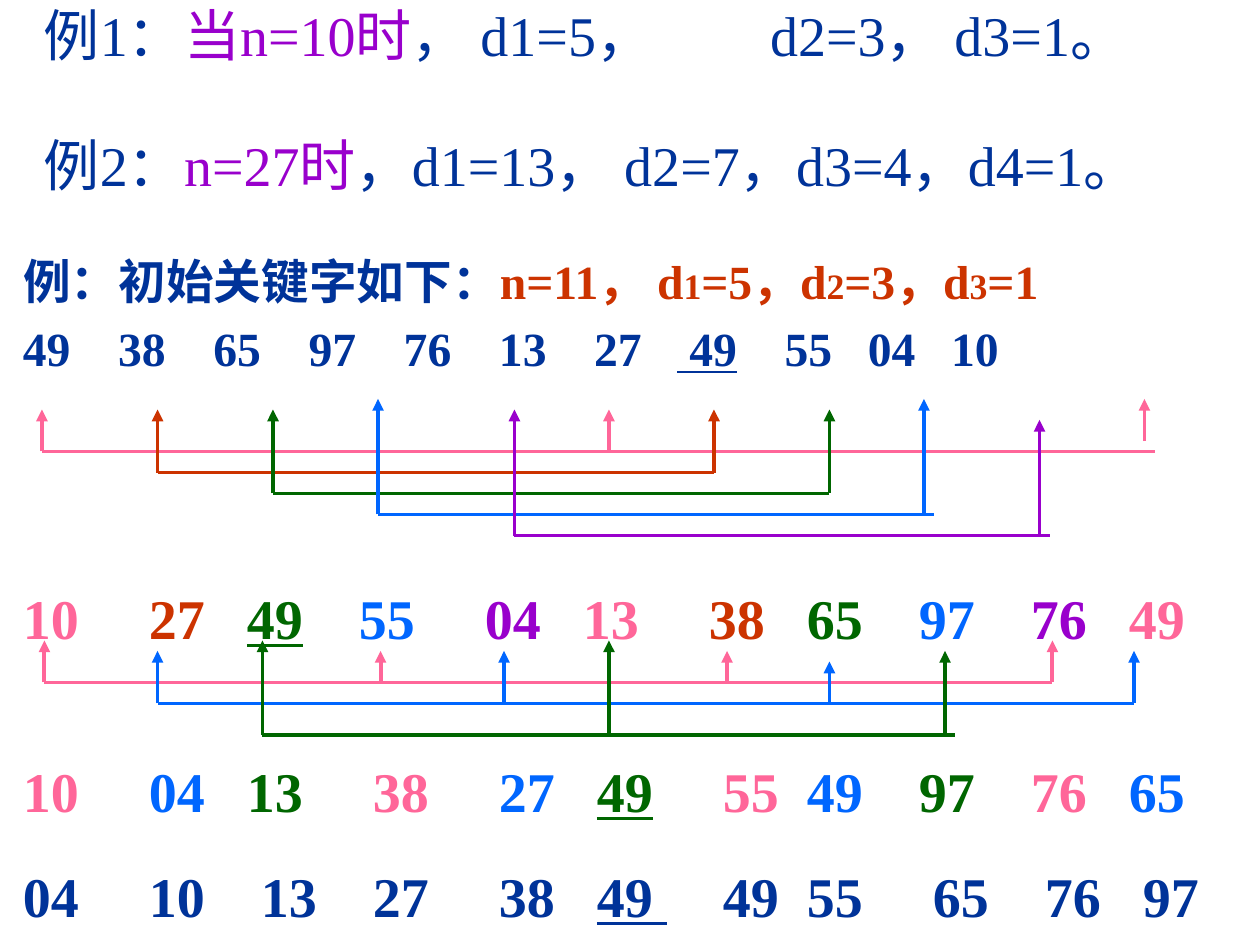
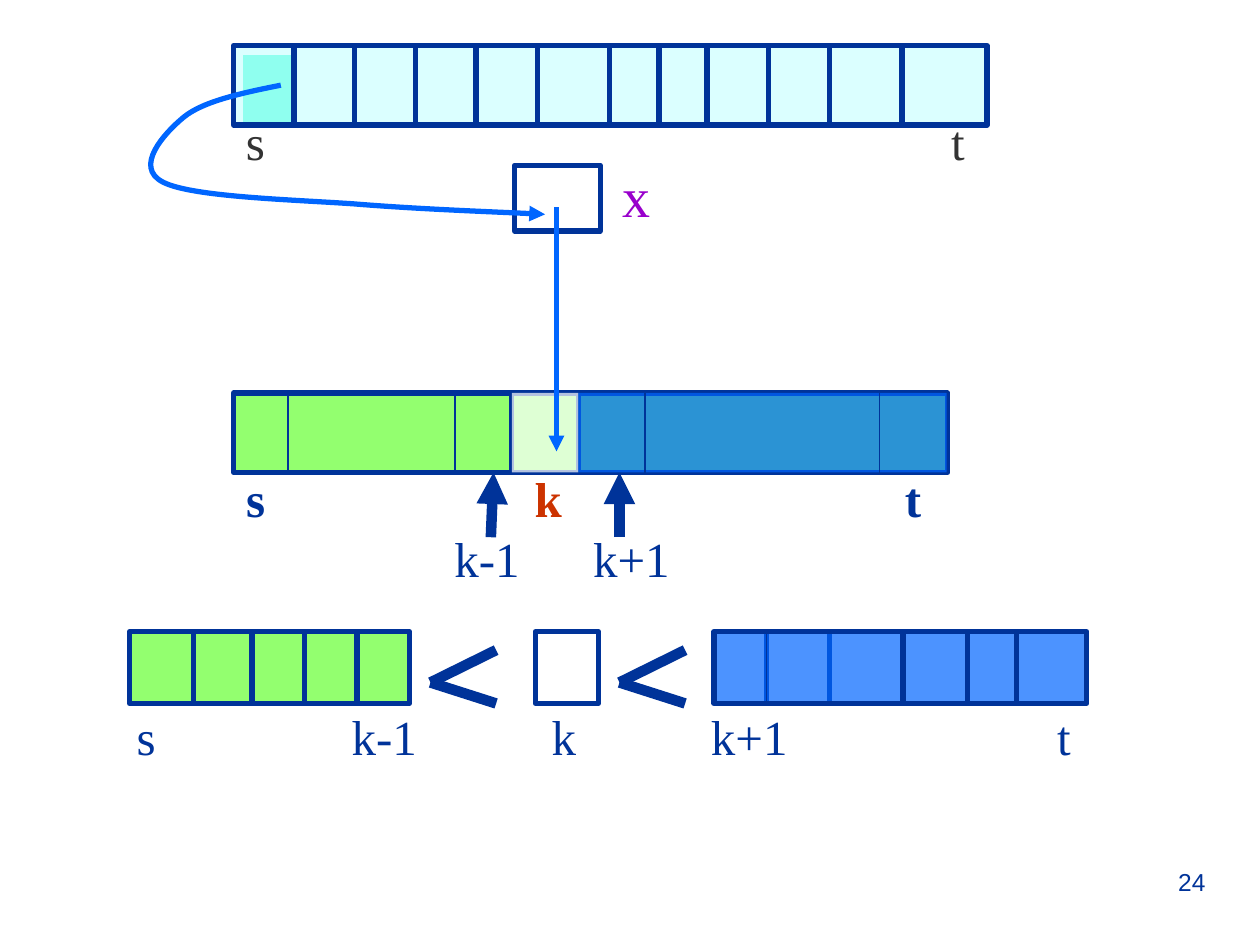
"""Builds two slides on Shell sort increments and on one quicksort partition step."""
from dataclasses import dataclass, field
from itertools import accumulate, cycle

from lxml import etree
from pptx import Presentation
from pptx.dml.color import RGBColor
from pptx.enum.shapes import MSO_CONNECTOR, MSO_SHAPE
from pptx.enum.text import MSO_ANCHOR, MSO_AUTO_SIZE, PP_ALIGN
from pptx.oxml.ns import qn
from pptx.util import Pt

STRAIGHT = MSO_CONNECTOR.STRAIGHT
RECTANGLE = MSO_SHAPE.RECTANGLE
TOP, BOTTOM = MSO_ANCHOR.TOP, MSO_ANCHOR.BOTTOM
NO_FIT = MSO_AUTO_SIZE.NONE
LEFT, RIGHT = PP_ALIGN.LEFT, PP_ALIGN.RIGHT


@dataclass(frozen=True)
class Theme:
    navy: str = "003399"
    blue: str = "0066FF"
    red: str = "CC3300"
    green: str = "006600"
    purple: str = "9900CC"
    pink: str = "FF6699"
    lime: str = "66FF33"
    ice: str = "CCFFFF"
    mint: str = "00FFCC"
    white: str = "FFFFFF"
    grey: str = "333333"
    serif: str = "Times New Roman"
    sans: str = "Arial"
    large: float = 32
    label: float = 28
    body: float = 27.2
    subscript: float = 20.4
    page: float = 14
    thin: float = 1
    comb: float = 2.25
    border: float = 3
    heavy: float = 6


@dataclass
class Run:
    text: str
    colour: str
    underlined: bool = False
    size: float = 0


@dataclass
class Para:
    runs: list
    size: float
    bold: bool = False
    tabs: list = field(default_factory=list)
    spacing: float = 1.0
    before: float = 0
    align: int = LEFT
    font: str = Theme.serif


T = Theme()


def draw_line(slide, start, end, colour, width, arrow=False):
    line = slide.shapes.add_connector(STRAIGHT, *map(Pt, (*start, *end)))
    line.line.color.rgb = RGBColor.from_string(colour)
    line.line.width = Pt(width)
    properties = line._element.spPr
    if arrow:
        etree.SubElement(properties.find(qn("a:ln")), qn("a:tailEnd"), type="triangle")
    etree.SubElement(properties, qn("a:effectLst"))


def draw_box(slide, box, fill, border=0, opacity=70):
    shape = slide.shapes.add_shape(RECTANGLE, *map(Pt, box))
    shape.shadow.inherit = False
    shape.fill.solid()
    shape.fill.fore_color.rgb = RGBColor.from_string(fill)
    colour = shape._element.spPr.find(qn("a:solidFill")).find(qn("a:srgbClr"))
    etree.SubElement(colour, qn("a:alpha"), val=str(opacity * 1000))
    if border:
        shape.line.color.rgb = RGBColor.from_string(T.navy)
        shape.line.width = Pt(border)
    else:
        shape.line.fill.background()


prs = Presentation()
prs.slide_width, prs.slide_height = Pt(720), Pt(540)
shell_sort = prs.slides.add_slide(prs.slide_layouts[1])
partition = prs.slides.add_slide(prs.slide_layouts[6])

title = shell_sort.shapes.title._element
title.getparent().remove(title)
initial_keys = shell_sort.placeholders[1]
initial_keys.left, initial_keys.top = Pt(6), Pt(144)
initial_keys.width, initial_keys.height = Pt(702), Pt(42)

combs = [
    (T.pink, 390, 25.4, 601.4, [(25.4, 366), (217.5, 372), (415.5, 372), (601.4, 366)]),
    (T.blue, 402, 90, 648, [(90, 372), (288, 372), (474, 378), (648, 372)]),
    (T.green, 420, 150, 546, [(150, 366), (348, 366), (540, 372)]),
    (T.pink, 258, 24, 660, [(654, 228, 252), (24, 234), (348, 234)]),
    (T.red, 270, 90, 408, [(90, 234), (408, 234)]),
    (T.green, 282, 156, 474, [(156, 234), (474, 234)]),
    (T.blue, 294, 216, 534, [(216, 228), (528, 228)]),
    (T.purple, 306, 294, 600, [(294, 234), (594, 240)]),
]
for colour, base, first, last, teeth in combs:
    draw_line(shell_sort, (first, base), (last, base), colour, T.comb)
    for x, tip, *foot in teeth:
        draw_line(shell_sort, (x, *(foot or [base])), (x, tip), colour, T.comb, True)

key_rows = [
    ("49 38 65 97 76 13 27 49 55 04 10", [T.navy], T.body, 7, " 49", "4444443433"),
    ("10 27 49 55 04 13 38 65 97 76 49", [T.pink, T.red, T.green, T.blue, T.purple],
     T.large, 2, "49", "5345353443"),
    ("10 04 13 38 27 49 55 49 97 76 65", [T.pink, T.blue, T.green],
     T.large, 5, "49", "5355352443"),
    ("04 10 13 27 38 49 49 55 65 76 97", [T.navy], T.large, 5, "49 ", "5445342543"),
]
key_paragraphs = []
for keys, colours, size, marked, marked_text, gaps in key_rows:
    keys = keys.split()
    keys[marked] = marked_text
    steps = [size * (len(key.strip()) / 2 + key.count(" ") / 4 + int(gap) / 4)
             for key, gap in zip(keys, gaps)]
    runs = []
    for position, (key, colour) in enumerate(zip(keys, cycle(colours))):
        if position:
            runs.append(Run("\t", colour))
        runs.append(Run(key, colour, position == marked))
    key_paragraphs.append(Para(runs, size, True, list(accumulate(steps))))

increments = Para([
    Run("例：初始关键字如下：", T.navy), Run("n=11， d", T.red),
    Run("1", T.red, size=T.subscript), Run("=5，d", T.red),
    Run("2", T.red, size=T.subscript), Run("=3，d", T.red),
    Run("3", T.red, size=T.subscript), Run("=1", T.red),
], T.body, True, spacing=0.9)
example_1 = Para([
    Run("例1：", T.navy), Run("当n=10时", T.purple), Run("， d1=5，", T.navy),
    Run("\t", T.navy), Run("d2=3， d3=1。", T.navy),
], T.large, tabs=[415], spacing=0.7)
example_2 = Para([
    Run("例2：", T.navy), Run("n=27时", T.purple),
    Run("，d1=13， d2=7，d3=4，d4=1。", T.navy),
], T.large, spacing=0.7, before=47.5)

draw_box(partition, (139, 31.5, 28, 39.5), T.mint, opacity=100)
draw_box(partition, (294, 94.5, 49, 37.5), T.white, T.border)

result_top, result_height = 361, 41
result_bottom = result_top + result_height
draw_box(partition, (306, result_top, 36, result_height), T.white, T.border)
for tip in (246, 354):
    for y in (371.5, 402):
        draw_line(partition, (tip + 37.5, y), (tip, 390), T.navy, T.heavy)
for x in (438, 474):
    draw_line(partition, (x, result_top), (x, result_bottom), T.navy, T.border)
for left, width, fill in ((144, 90, T.lime), (74, 70, T.lime), (408, 213, T.blue)):
    draw_box(partition, (left, result_top, width, result_height), fill, T.border)
for x in (110.5, 174, 204, 516, 553, 581):
    draw_line(partition, (x, result_top), (x, result_bottom), T.navy, T.border)
draw_line(partition, (438, result_top), (438, result_bottom), T.navy, T.thin)

for foot, tip in ((280.5, 282), (354, 354)):
    draw_line(partition, (foot, 307), (tip, 270), T.navy, T.heavy, True)
split_top, bar_height = 224.5, 45.5
draw_box(partition, (133.5, split_top, 408, bar_height), T.lime, T.border)
for x in (292.5, 330.5):
    draw_line(partition, (x, split_top), (x, split_top + bar_height), T.navy, T.border)
draw_box(partition, (292.5, split_top, 38, bar_height), T.white)
draw_box(partition, (330.5, split_top, 210.5, bar_height), T.blue)
for x in (164.5, 260, 368.5, 502.5):
    draw_line(partition, (x, split_top), (x, split_top + bar_height), T.navy, T.thin)
draw_line(partition, (318, 118.5), (318, 258), T.blue, T.border, True)

array_top = 26
draw_box(partition, (133.5, array_top, 430.5, bar_height), T.ice, T.border)
for x in (168, 202.5, 237.5, 272, 307, 348.5, 376.5, 404, 439, 474, 515.5):
    draw_line(partition, (x, array_top), (x, array_top + bar_height), T.navy, T.border)

pivot_curve = [
    (137.5, 53.3), (116, 58), (105, 67), (93.5, 76.5), (76.5, 95.5), (93, 104),
    (109, 112.5), (165.5, 114), (202, 116.5), (238.5, 119.5), (293, 121.5), (311.5, 122.5),
]
builder = partition.shapes.build_freeform(Pt(160.5), Pt(48.7))
builder.add_line_segments([(Pt(x), Pt(y)) for x, y in pivot_curve], close=False)
pivot_move = builder.convert_to_shape()
pivot_move.shadow.inherit = False
pivot_move.fill.background()
pivot_move.line.color.rgb = RGBColor.from_string(T.blue)
pivot_move.line.width = Pt(T.border)
properties = pivot_move._element.spPr
etree.SubElement(properties.find(qn("a:ln")), qn("a:tailEnd"), type="triangle")
outline = next(properties.iter(qn("a:path")))
segments = outline.findall(qn("a:lnTo"))
for first in range(0, len(segments), 3):
    bezier = etree.SubElement(outline, qn("a:cubicBezTo"))
    for segment in segments[first:first + 3]:
        bezier.append(segment[0])
        outline.remove(segment)

label_rows = [
    ((71, 400, 607, 41), "s k-1 k k+1 t", [T.navy] * 5, False,
     [122.9, 237.2, 328.2, 526]),
    ((252.5, 298, 198.5, 41), "k-1 k+1", [T.navy] * 2, False, [79.3]),
    ((133.5, 264, 436.5, 41), "s k t", [T.navy, T.red, T.navy], True, [164.9, 376.5]),
    ((133.5, 60, 453.5, 41), "s t", [T.grey] * 2, False, [402.9]),
]
boxed_texts = [
    (shell_sort, (6, 177.5, 702, 41), BOTTOM, [key_paragraphs[0]]),
    (shell_sort, (6, 330, 684, 45.5), BOTTOM, [key_paragraphs[1]]),
    (shell_sort, (6, 428.5, 714, 45.5), BOTTOM, [key_paragraphs[2]]),
    (shell_sort, (18, 7, 672, 134.5), TOP, [example_1, example_2]),
    (shell_sort, (6, 488.5, 714, 45.5), BOTTOM, [key_paragraphs[3]]),
    (partition, (516, 492, 180, 37.5), TOP,
     [Para([Run("24", T.navy)], T.page, align=RIGHT, font=T.sans)]),
    (partition, (348.5, 88.5, 28, 45.5), BOTTOM, [Para([Run("x", T.purple)], T.large)]),
]
for box, labels, colours, bold, tabs in label_rows:
    runs = []
    for label, colour in zip(labels.split(), colours):
        if runs:
            runs.append(Run("\t", colour))
        runs.append(Run(label, colour))
    boxed_texts.append((partition, box, BOTTOM, [Para(runs, T.label, bold, tabs)]))

heading = initial_keys.text_frame
heading_layout = heading.paragraphs[0]._p.get_or_add_pPr()
heading_layout.set("marL", "0")
heading_layout.set("indent", "0")
etree.SubElement(heading_layout, qn("a:buNone"))

frames = [(heading, TOP, [increments])]
for slide, box, anchor, paragraphs in boxed_texts:
    frames.append((slide.shapes.add_textbox(*map(Pt, box)).text_frame, anchor, paragraphs))

for frame, anchor, paragraphs in frames:
    frame.word_wrap = True
    frame.auto_size = NO_FIT
    frame.vertical_anchor = anchor
    for position, content in enumerate(paragraphs):
        paragraph = frame.add_paragraph() if position else frame.paragraphs[0]
        if content.tabs:
            stops = etree.SubElement(paragraph._p.get_or_add_pPr(), qn("a:tabLst"))
            for stop in content.tabs:
                etree.SubElement(stops, qn("a:tab"), pos=str(Pt(stop)), algn="l")
        paragraph.alignment = content.align
        paragraph.line_spacing = content.spacing
        paragraph.space_before = Pt(content.before)
        for part in content.runs:
            run = paragraph.add_run()
            run.text = part.text
            run.font.name = content.font
            run.font.size = Pt(part.size or content.size)
            run.font.bold = content.bold
            run.font.underline = part.underlined
            run.font.color.rgb = RGBColor.from_string(part.colour)

prs.save("out.pptx")
